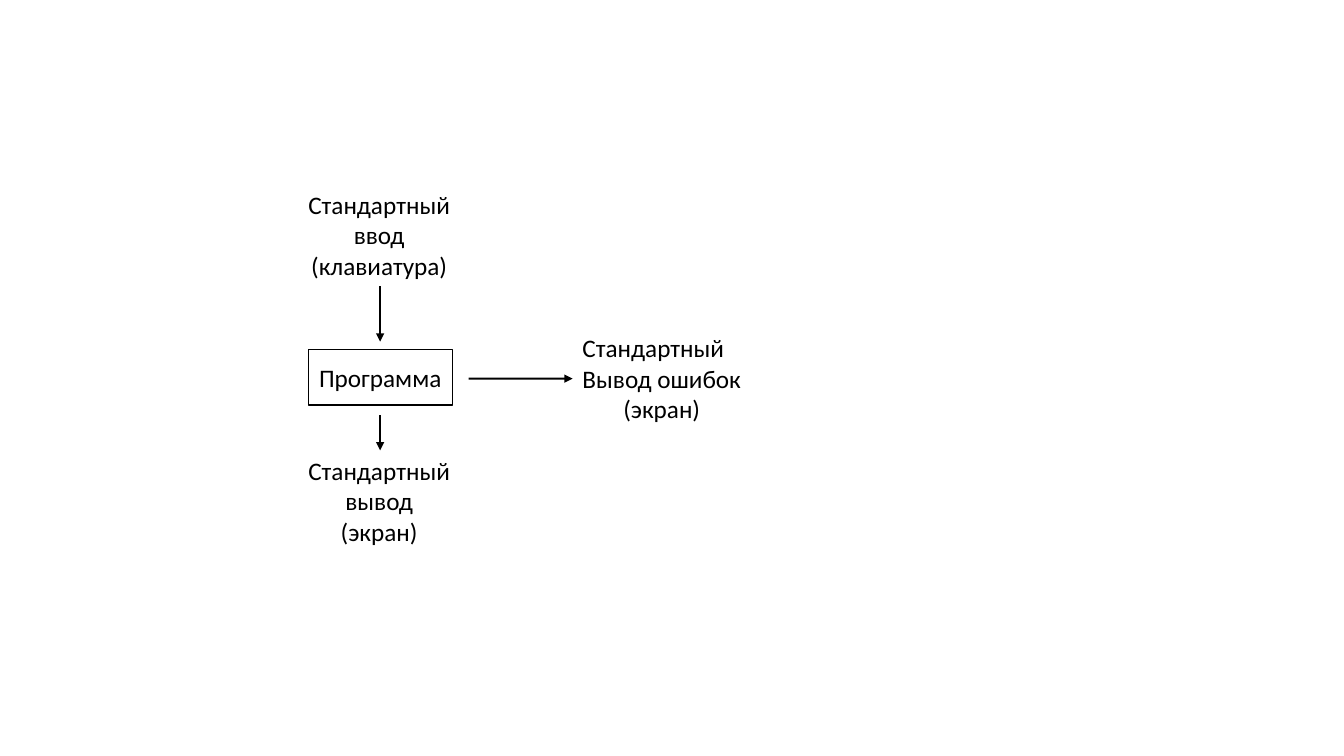
from lxml.etree import SubElement
from pptx import Presentation
from pptx.dml.color import RGBColor
from pptx.enum.shapes import MSO_CONNECTOR as Connector, MSO_SHAPE as Shape
from pptx.enum.text import MSO_ANCHOR as Anchor, MSO_AUTO_SIZE as AutoSize, PP_ALIGN as Align
from pptx.oxml.ns import qn
from pptx.util import Cm, Pt

BLACK = "000000"
WHITE = "FFFFFF"
TOP, LEFT, BOTTOM = 0, 1, 2
LABEL_HEIGHT = 2.56


def colour(value):
    return RGBColor.from_string(value)


def add_span(para, text, align):
    para.alignment = align
    span = para.add_run()
    span.text = text
    span.font.name = "Calibri"
    span.font.size = Pt(18)
    span.font.color.rgb = colour(BLACK)


def add_process(page, text, left, top, width, height):
    box = page.shapes.add_shape(Shape.RECTANGLE, Cm(left), Cm(top), Cm(width), Cm(height))
    box.shadow.inherit = False
    box.fill.solid()
    box.fill.fore_color.rgb = colour(WHITE)
    box.line.color.rgb = colour(BLACK)
    box.line.width = Pt(1)
    box.text_frame.vertical_anchor = Anchor.MIDDLE
    add_span(box.text_frame.paragraphs[0], text, Align.CENTER)


def add_label(page, lines, left, top, width):
    box = page.shapes.add_textbox(Cm(left), Cm(top), Cm(width), Cm(LABEL_HEIGHT))
    frame = box.text_frame
    frame.word_wrap = False
    frame.auto_size = AutoSize.SHAPE_TO_FIT_TEXT
    for index, line in enumerate(lines):
        para = frame.add_paragraph() if index else frame.paragraphs[0]
        add_span(para, line, Align.CENTER if index else Align.LEFT)
    return box


def add_arrow(page, start, end):
    arrow = page.shapes.add_connector(Connector.STRAIGHT, *map(Cm, start + end))
    arrow.line.color.rgb = colour(BLACK)
    arrow.line.width = Pt(1.5)
    SubElement(arrow.line._get_or_add_ln(), qn("a:tailEnd"), type="triangle")
    SubElement(arrow._element.spPr, qn("a:effectLst"))
    return arrow


def main():
    deck = Presentation()
    deck.slide_width, deck.slide_height = Cm(33.87), Cm(19.05)
    page = deck.slides.add_slide(deck.slide_layouts[6])

    add_process(page, "Программа", 7.77, 8.81, 3.63, 1.4)
    input_label = add_label(page, ["Стандартный", "ввод", "(клавиатура)"], 7.52, 4.65, 4.12)
    output_label = add_label(page, ["Стандартный", "вывод", "(экран)"], 7.52, 11.35, 4.12)
    error_label = add_label(page, ["Стандартный", "Вывод ошибок", "(экран)"], 14.43, 8.26, 4.55)

    add_arrow(page, (9.58, 7.21), (9.58, 8.61)).begin_connect(input_label, BOTTOM)
    add_arrow(page, (11.81, 9.54), (14.43, 9.54)).end_connect(error_label, LEFT)
    add_arrow(page, (9.58, 10.46), (9.58, 11.35)).end_connect(output_label, TOP)

    deck.save("out.pptx")


if __name__ == "__main__":
    main()
